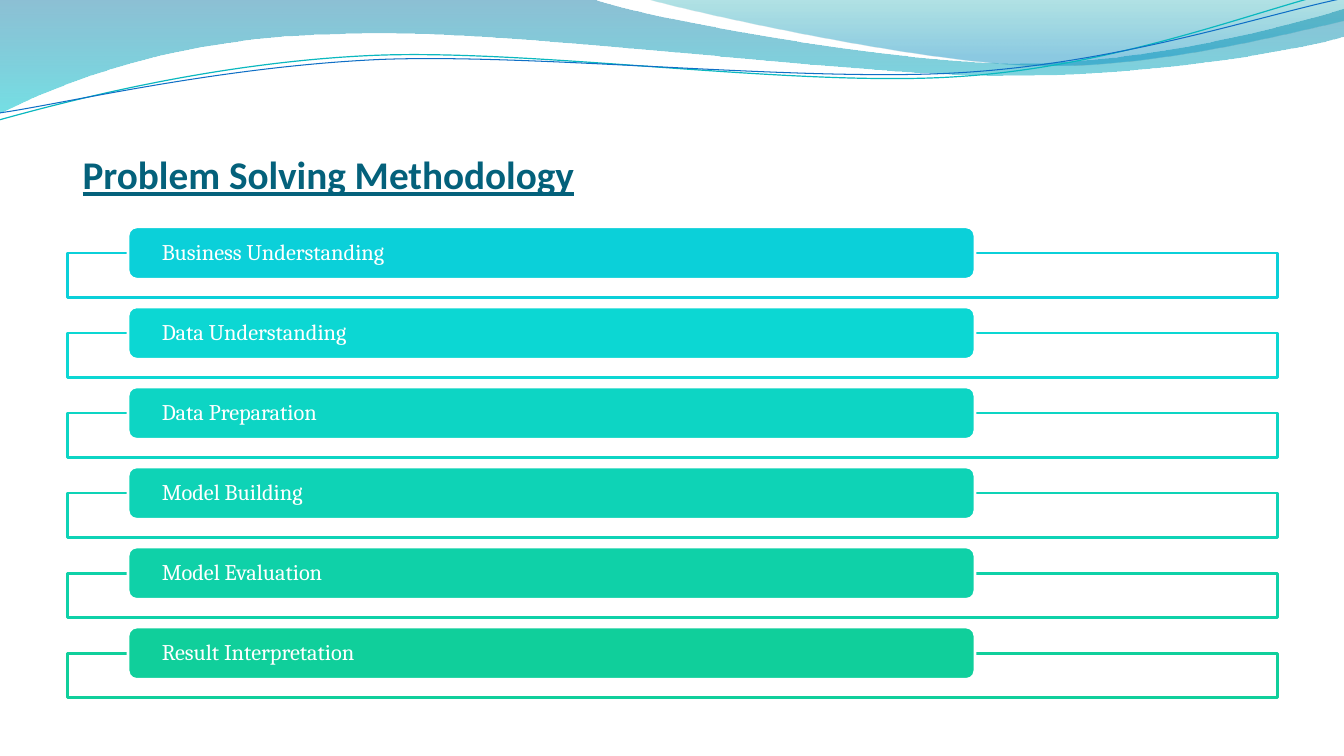
from lxml.etree import SubElement
from pptx import Presentation
from pptx.dml.color import RGBColor
from pptx.enum.shapes import MSO_SHAPE
from pptx.enum.text import MSO_ANCHOR, PP_ALIGN
from pptx.oxml.ns import qn
from pptx.util import Inches, Pt

WHITE = "FFFFFF"
STEPS = [
    ("Business Understanding", "0BD0D9"),
    ("Data Understanding", "0CD7D3"),
    ("Data Preparation", "0DD5C4"),
    ("Model Building", "0ED3B6"),
    ("Model Evaluation", "0FD1A8"),
    ("Result Interpretation", "10CF9B"),
]
# Each outline is a list of points: two numbers draw a line, six a Bezier curve.
LEFT_WAVE = [
    (0, 0), (5.87, -0.01),
    (6.34, 0.17, 8.85, 0.63, 10.11, 0.63),
    (11.38, 0.63, 12.78, 0.26, 13.33, 0.09),
    (13.35, 0.36),
    (13.11, 0.44, 11.6, 0.76, 9.94, 0.75),
    (8.29, 0.75, 5.09, 0.28, 3.43, 0.34),
    (1.72, 0.36, 0.61, 0.83, -0.01, 1.13),
]
RIGHT_WAVE = [
    (6.39, -0.01),
    (6.79, 0.11, 9.09, 0.62, 10.25, 0.65),
    (11.41, 0.69, 12.82, 0.32, 13.33, 0.21),
    (13.33, 0),
]
TEAL_LINE = [
    (-0.01, 1.19),
    (0.64, 1.01, 2.11, 0.62, 3.69, 0.55),
    (5.27, 0.48, 7.9, 0.87, 9.5, 0.76),
    (11.1, 0.66, 12.52, 0.08, 13.31, -0.1),
]
BLUE_LINE = [
    (0, 1.12),
    (0.63, 1.03, 2.18, 0.66, 3.78, 0.59),
    (5.37, 0.53, 7.96, 0.82, 9.55, 0.72),
    (11.15, 0.62, 12.55, 0.14, 13.34, -0.02),
]


def color(value):
    """Turn a hex string into a colour."""
    return RGBColor.from_string(value)


def bend(sp, outline):
    """Merge the three straight pieces of each curve into one Bezier segment."""
    pieces = iter(list(sp.element.iter(qn("a:lnTo"))))
    for segment in outline[1:]:
        first = next(pieces)
        if len(segment) == 2:
            continue
        first.tag = qn("a:cubicBezTo")
        for _ in range(2):
            piece = next(pieces)
            first.append(piece[0])
            piece.getparent().remove(piece)


def add_outline(slide, outline, left, top, close):
    """Add a freeform that follows an outline of lines and curves."""
    points = [(Inches(left + segment[i]), Inches(top + segment[i + 1]))
              for segment in outline for i in range(0, len(segment), 2)]
    builder = slide.shapes.build_freeform(*points[0])
    builder.add_line_segments(points[1:], close=close)
    sp = builder.convert_to_shape()
    sp.shadow.inherit = False
    bend(sp, outline)
    return sp


def add_wave(slide, outline, left, top, stops):
    """Add a filled wave with a see-through vertical gradient."""
    sp = add_outline(slide, outline, left, top, True)
    sp.line.fill.background()
    sp.fill.gradient()
    sp.fill.gradient_angle = 270
    for stop, (position, value, _) in zip(sp.fill.gradient_stops, stops):
        stop.position = position
        stop.color.rgb = color(value)
    for clr, (_, _, opacity) in zip(sp.element.iter(qn("a:srgbClr")), stops):
        SubElement(clr, qn("a:alpha"), val=str(opacity * 1000))


def add_wave_line(slide, outline, left, top, value, width):
    """Add a thin wavy line."""
    sp = add_outline(slide, outline, left, top, False)
    sp.fill.background()
    sp.line.color.rgb = color(value)
    sp.line.width = Pt(width)


def add_header(slide, left, top):
    """Draw the waves along the top edge."""
    add_wave(slide, LEFT_WAVE, left, top, [(0, "0074A1", 45), (1, "00C6CF", 55)])
    add_wave(slide, RIGHT_WAVE, left, top, [(0, "00A1A9", 30), (0.8, "008BBF", 45)])
    add_wave_line(slide, TEAL_LINE, left, top, "0AB8BF", 0.85)
    add_wave_line(slide, BLUE_LINE, left, top, "0F6FC6", 0.75)


def write_text(sp, text, *, font, size, value, inset, bottom=0, bold=False,
               underline=False, anchor=MSO_ANCHOR.MIDDLE, spacing=1.0):
    """Write one left-aligned paragraph into a shape."""
    tf = sp.text_frame
    tf.word_wrap = True
    tf.vertical_anchor = anchor
    tf.margin_left = tf.margin_right = Inches(inset)
    tf.margin_top, tf.margin_bottom = 0, Inches(bottom)
    p = tf.paragraphs[0]
    p.alignment = PP_ALIGN.LEFT
    p.line_spacing = spacing
    r = p.add_run()
    r.text = text
    r.font.name, r.font.size = font, Pt(size)
    r.font.bold, r.font.underline = bold, underline
    r.font.color.rgb = color(value)


def add_title(slide, left, top, width, height):
    """Write the slide title at the bottom of its box."""
    box = slide.shapes.add_textbox(*map(Inches, (left, top, width, height)))
    write_text(box, "Problem Solving Methodology", font="Calibri", size=28,
               value="04617B", inset=0.15, bottom=0.06, bold=True,
               underline=True, anchor=MSO_ANCHOR.BOTTOM)


def add_box(slide, kind, left, top, width, height, fill, line):
    """Add a preset shape with a solid fill and a 2 pt line."""
    sp = slide.shapes.add_shape(kind, *map(Inches, (left, top, width, height)))
    sp.shadow.inherit = False
    sp.fill.solid()
    sp.fill.fore_color.rgb = color(fill)
    sp.line.color.rgb = color(line)
    sp.line.width = Pt(2)
    return sp


def add_steps(slide, left, top, width, height):
    """Stack the steps evenly, each a framed box with a label bar on its edge."""
    bar_height, frame_height = 0.52, 0.44
    frame_drop = bar_height / 2
    pitch = (height - frame_drop - frame_height) / (len(STEPS) - 1)
    for i, (label, value) in enumerate(STEPS):
        y = top + i * pitch
        add_box(slide, MSO_SHAPE.RECTANGLE, left, y + frame_drop, width,
                frame_height, WHITE, value)
        bar = add_box(slide, MSO_SHAPE.ROUNDED_RECTANGLE, left + 0.05 * width, y,
                      0.7 * width, bar_height, value, WHITE)
        write_text(bar, label, font="Cambria", size=16, value=WHITE,
                   inset=0.31, spacing=0.9)


def main():
    """Build the slide and save it."""
    prs = Presentation()
    prs.slide_width, prs.slide_height = Inches(13.33), Inches(7.5)
    slide = prs.slides.add_slide(prs.slide_layouts[6])
    add_header(slide, 0, 0)
    add_title(slide, 0.67, 0.77, 12, 1.25)
    add_steps(slide, 0.67, 2.25, 12, 4.67)
    prs.save("out.pptx")


main()
